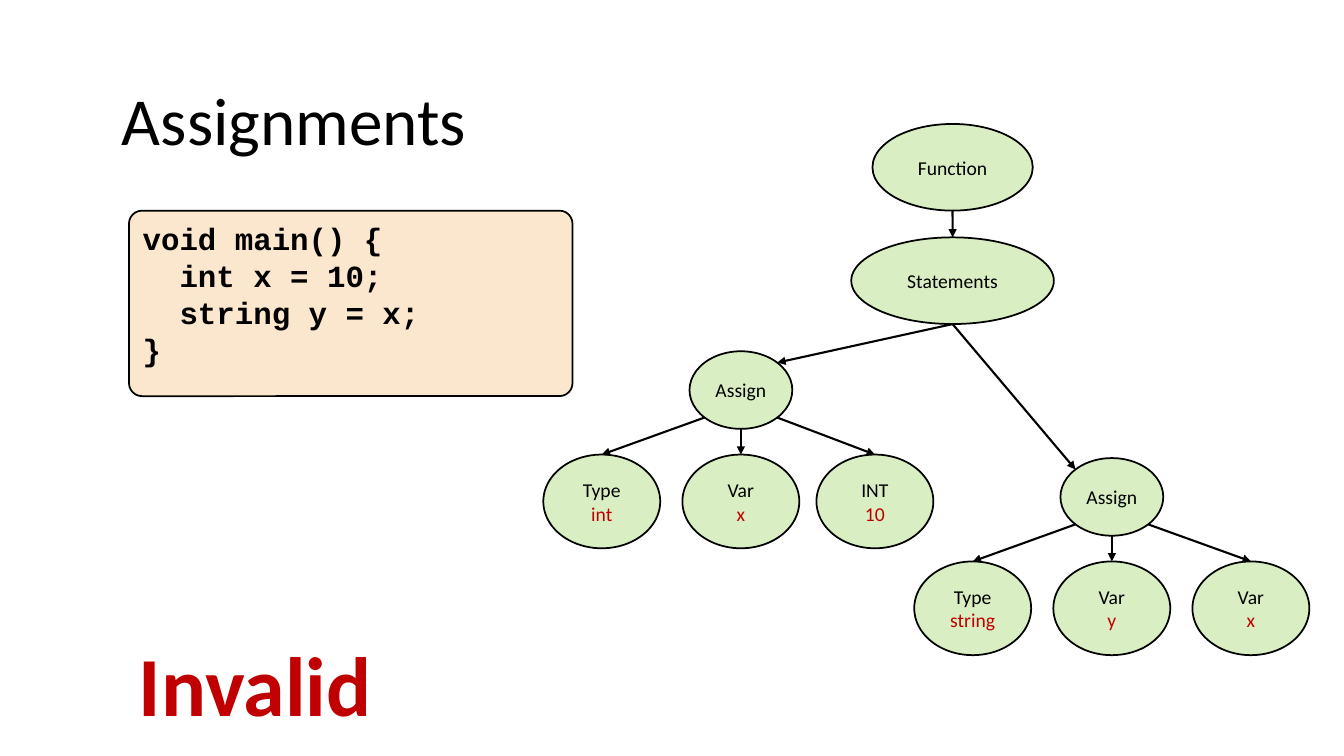
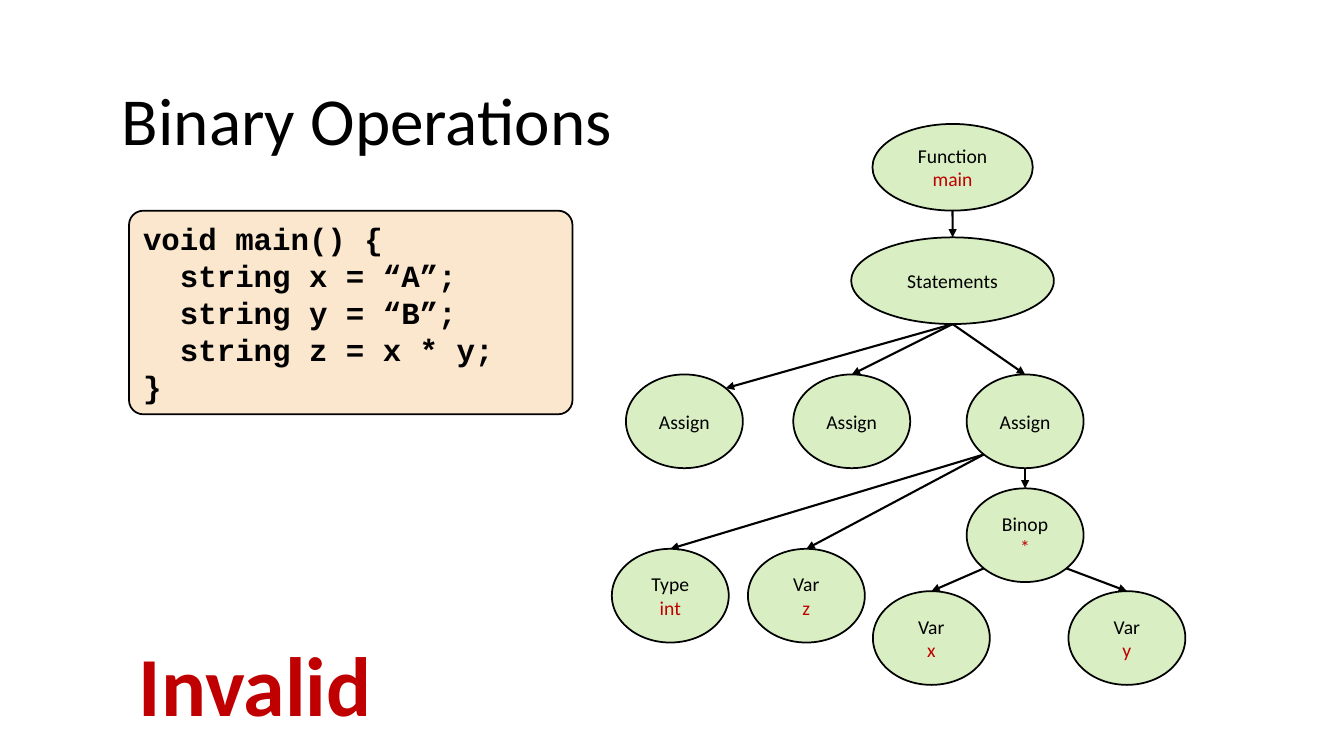
from math import cos, radians, sin

from lxml import etree
from pptx import Presentation
from pptx import util as u
from pptx.dml.color import RGBColor
from pptx.enum import shapes, text
from pptx.oxml.ns import qn

CELL = 0.1  # inches per grid column and row
COLS, ROWS = 133.33, 75
COLORS = {"ink": "000000", "red": "C00000", "green": "92D050",
          "sand": "FBE6CE", "paper": "FFFFFF"}
SANS, MONO = "Calibri", "Courier New"
SIZES = {"root": (15.9, 8.6), "list": (20.1, 8.6),
         "small": (10.2, 7.7), "leaf": (11.6, 9.3)}
# Connection sites of an ellipse, counted anticlockwise from the top
TOP, TOP_LEFT, LOW_LEFT, LOW, LOW_RIGHT, TOP_RIGHT = 0, 1, 3, 4, 5, 7


def cells(*counts):
    return [u.Inches(n * CELL) for n in counts]


def color(name):
    return RGBColor.from_string(COLORS[name])


def write(frame, lines, size, face=SANS, bold=False,
          align=text.PP_ALIGN.LEFT, anchor=text.MSO_ANCHOR.TOP):
    """Fill a frame with one paragraph per (words, colour) pair."""
    frame.word_wrap = True
    frame.vertical_anchor = anchor
    for i, (words, hue) in enumerate(lines):
        para = frame.add_paragraph() if i else frame.paragraphs[0]
        para.text = words
        para.alignment = align
        font = para.font
        font.name, font.size, font.bold = face, u.Pt(size), bold
        font.color.rgb = color(hue)


def block(slide, form, box, fill):
    """Add a filled shape with a thin dark outline."""
    shape = slide.shapes.add_shape(form, *cells(*box))
    shape.shadow.inherit = False
    shape.fill.solid()
    shape.fill.fore_color.rgb = color(fill)
    shape.line.color.rgb = color("ink")
    shape.line.width = u.Pt(1.25)
    return shape


def node(slide, kind, col, row, label, value=None):
    """Add a tree node centred on a grid point."""
    wide, high = SIZES[kind]
    box = (col - wide / 2, row - high / 2, wide, high)
    oval = block(slide, shapes.MSO_SHAPE.OVAL, box, "green")
    tint = oval.element.spPr.find(qn("a:solidFill")).find(qn("a:srgbClr"))
    etree.SubElement(tint, qn("a:alpha"), val="34000")
    frame = oval.text_frame
    frame.margin_left = frame.margin_right = 0
    lines = [(label, "ink")] + ([(value, "red")] if value else [])
    write(frame, lines, 14, align=text.PP_ALIGN.CENTER,
          anchor=text.MSO_ANCHOR.MIDDLE)
    return oval


def site(oval, index):
    """Find the point of a connection site on an ellipse."""
    turn = radians(90 + 45 * index)
    return (round(oval.left + oval.width / 2 * (1 + cos(turn))),
            round(oval.top + oval.height / 2 * (1 - sin(turn))))


def arrow(slide, start, leave, end, enter=TOP):
    link = slide.shapes.add_connector(
        shapes.MSO_CONNECTOR.STRAIGHT, *site(start, leave), *site(end, enter))
    link.line.color.rgb = color("ink")
    link.line.width = u.Pt(1.5)
    etree.SubElement(link.line._get_or_add_ln(), qn("a:tailEnd"),
                     type="triangle")
    etree.SubElement(link.element.spPr, qn("a:effectLst"))
    # begin_connect knows only the four sites of a rectangle
    joint = link.element.nvCxnSpPr.cNvCxnSpPr
    for tag, oval, index in (("a:stCxn", start, leave),
                             ("a:endCxn", end, enter)):
        etree.SubElement(joint, qn(tag), id=str(oval.shape_id),
                         idx=str(index))


def code(slide, lines, high):
    box = block(slide, shapes.MSO_SHAPE.ROUNDED_RECTANGLE,
                (12.8, 20.9, 44, high), "sand")
    box.adjustments[0] = 0.07
    write(box.text_frame, [(line, "ink") for line in lines], 22, MONO, True)


def page(deck, title, lines, high):
    """Add a slide with its title, code and verdict."""
    slide = deck.slides.add_slide(deck.slide_layouts[5])
    slide.background.fill.solid()
    slide.background.fill.fore_color.rgb = color("paper")
    head = slide.shapes.title
    head.left, head.top, head.width, head.height = cells(11.1, 7.3, 110.9, 9.1)
    write(head.text_frame, [(title, "ink")], 48)
    code(slide, lines, high)
    note = slide.shapes.add_textbox(*cells(12.8, 62.3, 30.6, 11.1))
    write(note.text_frame, [("Invalid", "red")], 60, bold=True)
    for shape in (head, note):
        shape.text_frame.auto_size = text.MSO_AUTO_SIZE.SHAPE_TO_FIT_TEXT
    return slide


def trunk(slide, value=None):
    """Add the top two nodes and return the lower one."""
    root = node(slide, "root", 94.5, 16.6, "Function", value)
    body = node(slide, "list", 94.5, 27.85, "Statements")
    arrow(slide, root, LOW, body)
    return body


def assign(slide, body, col, row, enter, leaves):
    """Add an assignment with three leaves, given as offset and words."""
    top = node(slide, "small", col, row, "Assign")
    arrow(slide, body, LOW, top, enter)
    for leave, (shift, *words) in zip((LOW_LEFT, LOW, LOW_RIGHT), leaves):
        arrow(slide, top, leave,
              node(slide, "leaf", col + shift, row + 11.05, *words))


def simple(deck):
    slide = page(deck, "Assignments", [
        "void main() {", "  int x = 10;", "  string y = x;", "}"], 18.4)
    body = trunk(slide)
    assign(slide, body, 73.5, 38.7, TOP_RIGHT, [
        (-13.8, "Type", "int"), (0, "Var", "x"), (13.3, "INT", "10")])
    assign(slide, body, 110.3, 49.3, TOP_LEFT, [
        (-13.8, "Type", "string"), (0, "Var", "y"), (13.8, "Var", "x")])


def binary(deck):
    slide = page(deck, "Binary Operations", [
        "void main() {", "  string x = “A”;", "  string y = “B”;",
        "  string z = x * y;", "}"], 20.2)
    body = trunk(slide, "main")
    for col, enter in ((67.9, TOP_RIGHT), (84.5, TOP), (101.7, TOP)):
        last = node(slide, "leaf", col, 41.8, "Assign")
        arrow(slide, body, LOW, last, enter)
    binop = node(slide, "leaf", 101.7, 53.1, "Binop", "*")
    arrow(slide, last, LOW, binop)
    for start, leave, col, row, label, value in (
            (last, LOW_LEFT, 66.5, 59.1, "Type", "int"),
            (last, LOW_LEFT, 80, 59.1, "Var", "z"),
            (binop, LOW_LEFT, 92.4, 63.3, "Var", "x"),
            (binop, LOW_RIGHT, 111.8, 63.3, "Var", "y")):
        arrow(slide, start, leave, node(slide, "leaf", col, row, label, value))


def main():
    deck = Presentation()
    deck.slide_width, deck.slide_height = cells(COLS, ROWS)
    simple(deck)
    binary(deck)
    deck.save("out.pptx")


if __name__ == "__main__":
    main()
